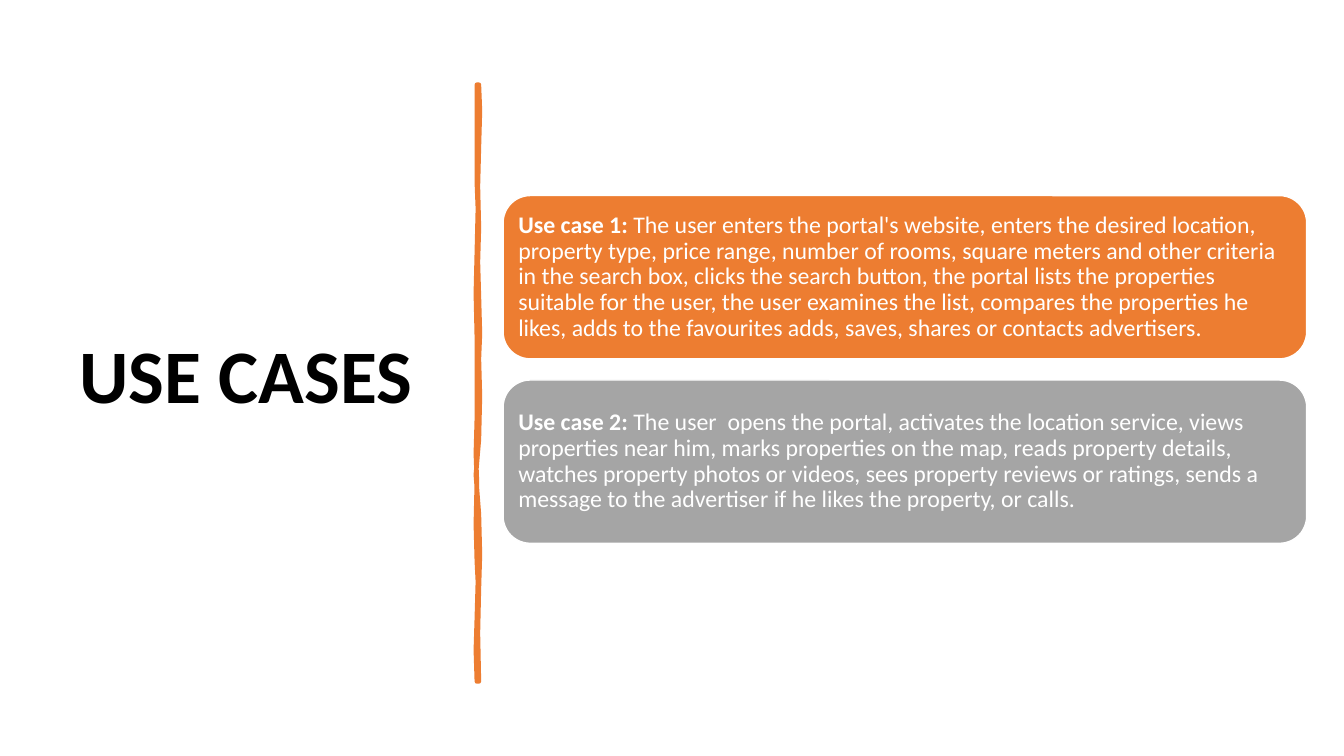
"""Build the use cases slide: a title, a hand-drawn divider and two rounded cards."""
from pptx import Presentation
from pptx import util as u
from pptx.dml.color import RGBColor
from pptx.enum import shapes, text

PX = 9144
ORANGE, GREY, WHITE, BLACK = "ED7D31", "A5A5A5", "FFFFFF", "000000"


def colour(value):
    """Turn a hex string into a colour."""
    return RGBColor.from_string(value)


def write(para, wording, size, ink, bold):
    """Add a formatted span to a paragraph."""
    span = para.add_run()
    span.text = wording
    span.font.color.rgb = colour(ink)
    for name, value in {"name": "Calibri", "size": u.Pt(size), "bold": bold}.items():
        setattr(span.font, name, value)


deck = Presentation()
deck.slide_width, deck.slide_height = 1333 * PX, 750 * PX
page = deck.slides.add_slide(deck.slide_layouts[5])

title = page.shapes.title
for name, value in {"left": 69, "top": 70, "width": 374, "height": 611}.items():
    setattr(title, name, value * PX)
frame = title.text_frame
for name, value in {"word_wrap": True, "auto_size": text.MSO_AUTO_SIZE.NONE,
                    "vertical_anchor": text.MSO_ANCHOR.MIDDLE}.items():
    setattr(frame, name, value)
para = frame.paragraphs[0]
para.alignment, para.line_spacing = text.PP_ALIGN.LEFT, 0.9
write(para, "USE CASES", 54, BLACK, True)

right_edge = [(475, 84), (476, 110), (475, 146), (474, 185), (475, 226), (474, 260),
              (475, 294), (476, 331), (475, 356), (476, 393), (475, 436), (472, 471),
              (475, 510), (476, 550), (475, 584), (474, 628), (475, 676)]
left_edge = [(473, 676), (472, 645), (473, 613), (474, 577), (473, 557), (472, 520),
             (473, 477), (472, 450), (473, 415), (473, 378), (473, 335), (472, 291),
             (473, 250), (474, 207), (473, 181), (473, 134), (473, 84)]
builder = page.shapes.build_freeform(*right_edge[0], scale=PX)
builder.add_line_segments(right_edge[1:] + left_edge, close=True)
divider = builder.convert_to_shape()
divider.shadow.inherit = False
divider.fill.solid()
divider.fill.fore_color.rgb = divider.line.color.rgb = colour(ORANGE)
divider.line.width = u.Pt(3.25)

cases = [
    (ORANGE, "Use case 1:",
     " The user enters the portal's website, enters the desired location, property type, price range, "
     "number of rooms, square meters and other criteria in the search box, clicks the search button, "
     "the portal lists the properties suitable for the user, the user examines the list, compares the "
     "properties he likes, adds to the favourites adds, saves, shares or contacts advertisers."),
    (GREY, "Use case 2: ",
     "The user  opens the portal, activates the location service, views properties near him, marks "
     "properties on the map, reads property details, watches property photos or videos, sees property "
     "reviews or ratings, sends a message to the advertiser if he likes the property, or calls."),
]
for index, (fill, label, story) in enumerate(cases):
    top = 194 + 183 * index
    card = page.shapes.add_shape(shapes.MSO_SHAPE.ROUNDED_RECTANGLE,
                                 499 * PX, top * PX, 797 * PX, 162 * PX)
    card.shadow.inherit = False
    card.fill.solid()
    card.fill.fore_color.rgb = colour(fill)
    card.line.color.rgb = colour(WHITE)
    card.line.width = u.Pt(1)
    box = page.shapes.add_textbox(507 * PX, (top + 8) * PX, 781 * PX, 146 * PX)
    frame = box.text_frame
    for name, value in {"word_wrap": True, "vertical_anchor": text.MSO_ANCHOR.MIDDLE,
                        "margin_left": 7 * PX, "margin_right": 7 * PX,
                        "margin_top": 7 * PX, "margin_bottom": 7 * PX}.items():
        setattr(frame, name, value)
    para = frame.paragraphs[0]
    para.alignment, para.line_spacing = text.PP_ALIGN.LEFT, 0.9
    write(para, label, 17, WHITE, True)
    write(para, story, 17, WHITE, False)

deck.save("out.pptx")
